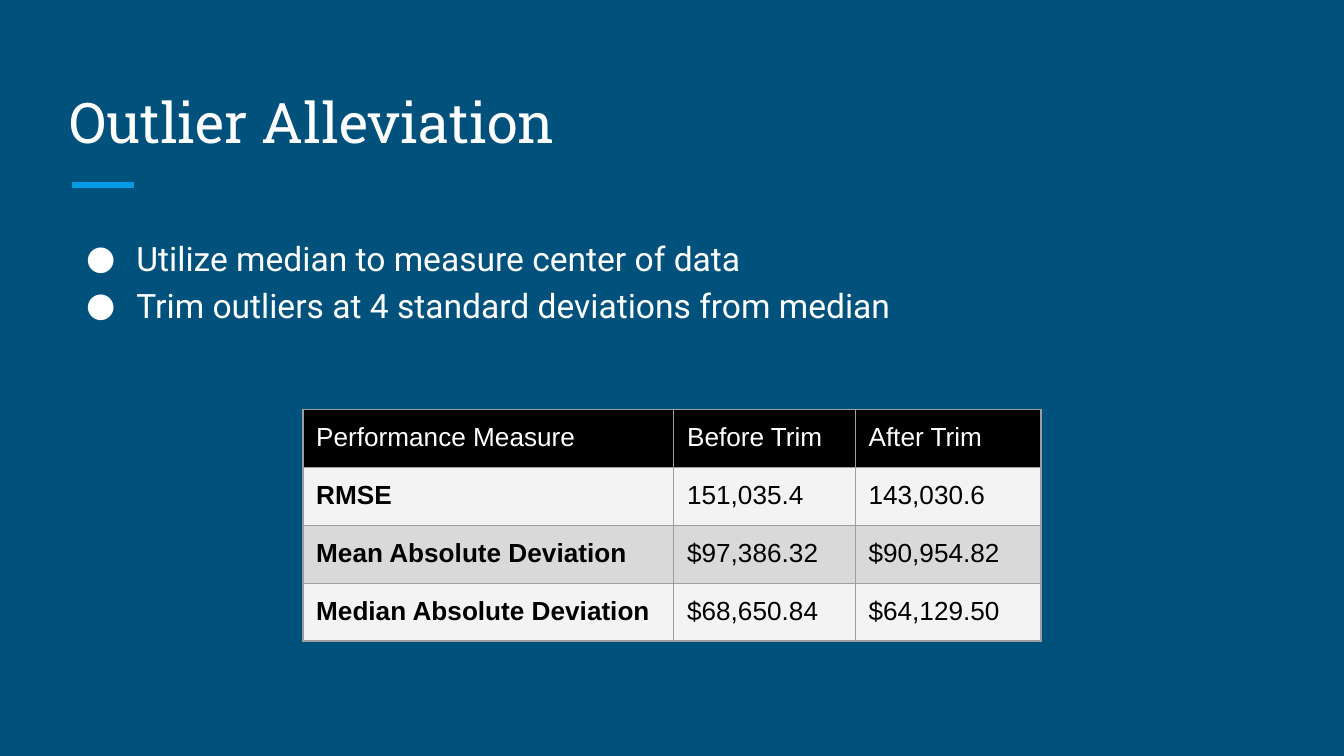
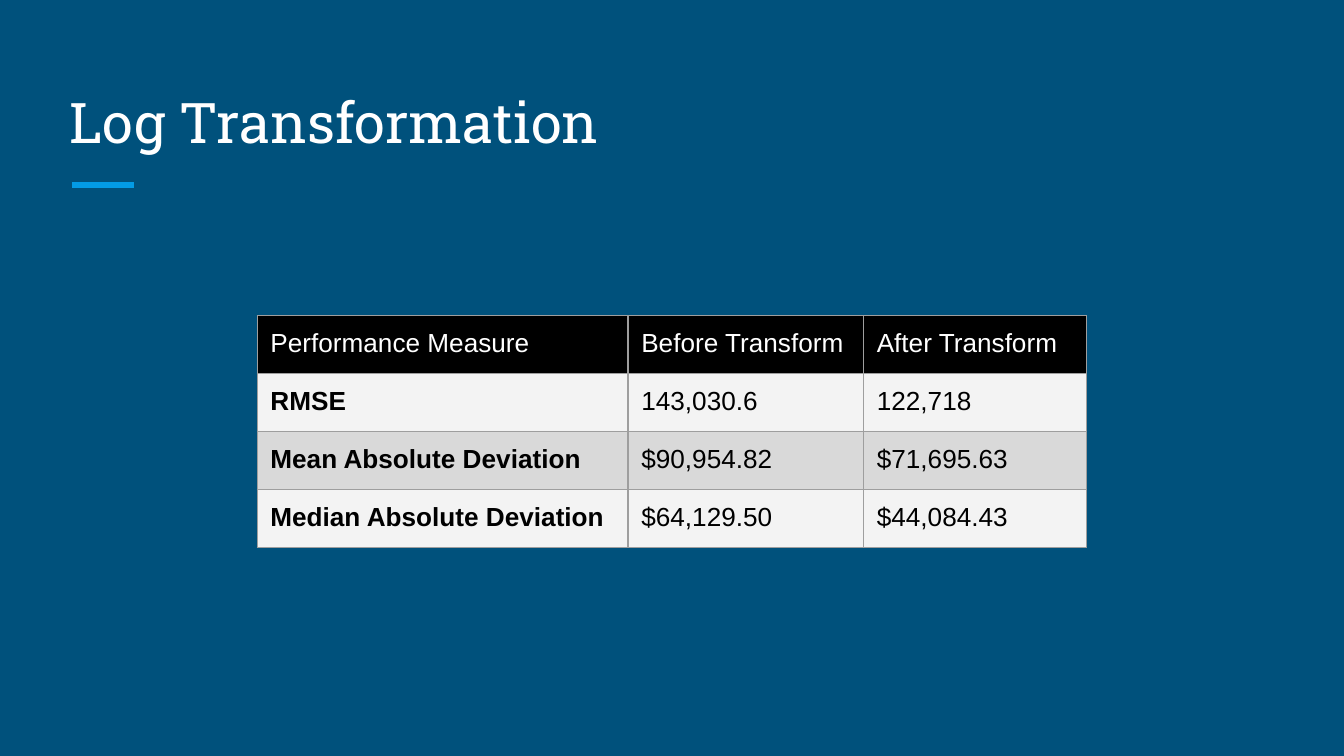
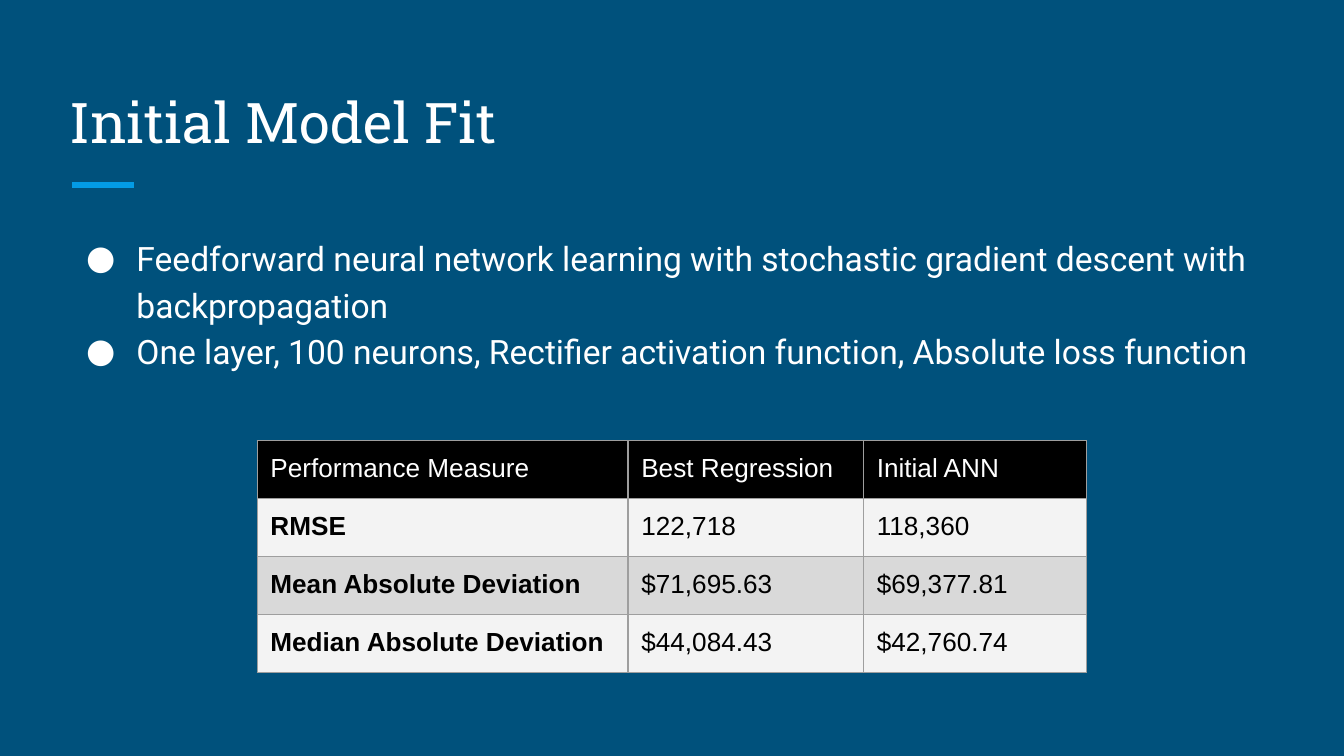
from dataclasses import dataclass

from lxml.etree import SubElement
from pptx import Presentation
from pptx.dml.color import RGBColor
from pptx.enum.shapes import MSO_CONNECTOR
from pptx.enum.text import MSO_ANCHOR
from pptx.oxml.ns import qn
from pptx.util import Cm, Pt

# Content
MEASURES = ["Performance Measure", "RMSE", "Mean Absolute Deviation", "Median Absolute Deviation"]

PAGES = [
    {
        "title": "Outlier Alleviation",
        "bullets": [
            "Utilize median to measure center of data",
            "Trim outliers at 4 standard deviations from median",
        ],
        "results": [
            ["Before Trim", "151,035.4", "$97,386.32", "$68,650.84"],
            ["After Trim", "143,030.6", "$90,954.82", "$64,129.50"],
        ],
        "table_top": 7.74,
        "column_widths": [7.01, 3.43, 3.51],
    },
    {
        "title": "Log Transformation",
        "bullets": [],
        "results": [
            ["Before Transform", "143,030.6", "$90,954.82", "$64,129.50"],
            ["After Transform", "122,718", "$71,695.63", "$44,084.43"],
        ],
        "table_top": 5.97,
        "column_widths": [7.01, 4.45, 4.22],
    },
    {
        "title": "Initial Model Fit",
        "bullets": [
            "Feedforward neural network learning with stochastic gradient descent with backpropagation",
            "One layer, 100 neurons, Rectifier activation function, Absolute loss function",
        ],
        "results": [
            ["Best Regression", "122,718", "$71,695.63", "$44,084.43"],
            ["Initial ANN", "118,360", "$69,377.81", "$42,760.74"],
        ],
        "table_top": 8.33,
        "column_widths": [7.01, 4.45, 4.22],
    },
]


# Theme and shared geometry
@dataclass(frozen=True)
class Theme:
    background: str = "00517C"
    accent: str = "039BE5"
    light: str = "FFFFFF"
    dark: str = "000000"
    border: str = "9E9E9E"
    header_fill: str = "000000"
    row_fills: tuple = ("F3F3F3", "D9D9D9")
    title_font: str = "Roboto Slab"
    body_font: str = "Roboto"
    table_font: str = "Arial"
    title_size: int = 30
    body_size: int = 18
    table_size: int = 14


THEME = Theme()
PAGE_WIDTH, PAGE_HEIGHT = 25.4, 14.29
TEXT_LEFT, TEXT_WIDTH = 1.06, 23.24
TITLE_TOP, TITLE_HEIGHT = 1.27, 1.91
BODY_TOP, BODY_HEIGHT = 4.14, 8.56
RULE_LEFT, RULE_RIGHT, RULE_TOP = 1.37, 2.54, 3.5
ROW_HEIGHTS = [1.06, 1.09, 1.06, 1.06]
INSET = Cm(0.25)


def color(value):
    return RGBColor.from_string(value)


def style(para, name, size, ink, bold=False):
    font = para.font
    font.name, font.size, font.bold = name, Pt(size), bold
    font.color.rgb = color(ink)


def add_text_box(page, top, height, anchor):
    box = page.shapes.add_textbox(Cm(TEXT_LEFT), Cm(top), Cm(TEXT_WIDTH), Cm(height))
    frame = box.text_frame
    frame.word_wrap = True
    frame.vertical_anchor = anchor
    frame.margin_left = frame.margin_right = frame.margin_top = frame.margin_bottom = INSET
    return frame


# Title with the short accent rule below it
def add_title(page, title):
    para = add_text_box(page, TITLE_TOP, TITLE_HEIGHT, MSO_ANCHOR.BOTTOM).paragraphs[0]
    para.text = title
    style(para, THEME.title_font, THEME.title_size, THEME.light)
    rule = page.shapes.add_connector(
        MSO_CONNECTOR.STRAIGHT, Cm(RULE_LEFT), Cm(RULE_TOP), Cm(RULE_RIGHT), Cm(RULE_TOP))
    rule.line.color.rgb = color(THEME.accent)
    rule.line.width = Pt(3)
    SubElement(rule._element.spPr, qn("a:effectLst"))


# Bulleted text
def add_bullet(para):
    properties = para._p.get_or_add_pPr()
    properties.set("marL", str(Cm(1.27)))
    properties.set("indent", str(-Cm(0.95)))
    bullet_color = SubElement(properties, qn("a:buClr"))
    SubElement(bullet_color, qn("a:srgbClr"), val=THEME.light)
    SubElement(properties, qn("a:buFont"), typeface=THEME.body_font)
    SubElement(properties, qn("a:buChar"), char="●")


def add_bullets(page, bullets):
    frame = add_text_box(page, BODY_TOP, BODY_HEIGHT, MSO_ANCHOR.TOP)
    for index, bullet in enumerate(bullets):
        para = frame.add_paragraph() if index else frame.paragraphs[0]
        para.text = bullet
        add_bullet(para)
        para.line_spacing = 1.15
        style(para, THEME.body_font, THEME.body_size, THEME.light)


# Results table, centred across the page
def add_borders(cell):
    properties = cell._tc.get_or_add_tcPr()
    for side in ("lnL", "lnR", "lnT", "lnB"):
        line = SubElement(properties, qn(f"a:{side}"), w=str(Pt(0.75)))
        fill = SubElement(line, qn("a:solidFill"))
        SubElement(fill, qn("a:srgbClr"), val=THEME.border)


def fill_cell(cell, text, row, column):
    is_header = row == 0
    cell.margin_left = cell.margin_right = cell.margin_top = cell.margin_bottom = INSET
    add_borders(cell)
    cell.fill.solid()
    cell.fill.fore_color.rgb = color(
        THEME.header_fill if is_header else THEME.row_fills[(row - 1) % 2])
    para = cell.text_frame.paragraphs[0]
    para.text = text
    style(para, THEME.table_font, THEME.table_size,
          THEME.light if is_header else THEME.dark,
          bold=column == 0 and not is_header)


def add_results(page, results, top, widths):
    columns = [MEASURES, *results]
    total = sum(widths)
    table = page.shapes.add_table(
        len(MEASURES), len(columns), Cm((PAGE_WIDTH - total) / 2), Cm(top),
        Cm(total), Cm(sum(ROW_HEIGHTS))).table
    table.first_row = table.horz_banding = False
    for row, height in enumerate(ROW_HEIGHTS):
        table.rows[row].height = Cm(height)
    for column, (texts, width) in enumerate(zip(columns, widths)):
        table.columns[column].width = Cm(width)
        for row, text in enumerate(texts):
            fill_cell(table.cell(row, column), text, row, column)


def main():
    deck = Presentation()
    deck.slide_width, deck.slide_height = Cm(PAGE_WIDTH), Cm(PAGE_HEIGHT)
    backdrop = deck.slide_master.background.fill
    backdrop.solid()
    backdrop.fore_color.rgb = color(THEME.background)
    for content in PAGES:
        page = deck.slides.add_slide(deck.slide_layouts[6])
        add_title(page, content["title"])
        if content["bullets"]:
            add_bullets(page, content["bullets"])
        add_results(page, content["results"], content["table_top"], content["column_widths"])
    deck.save("out.pptx")


if __name__ == "__main__":
    main()
